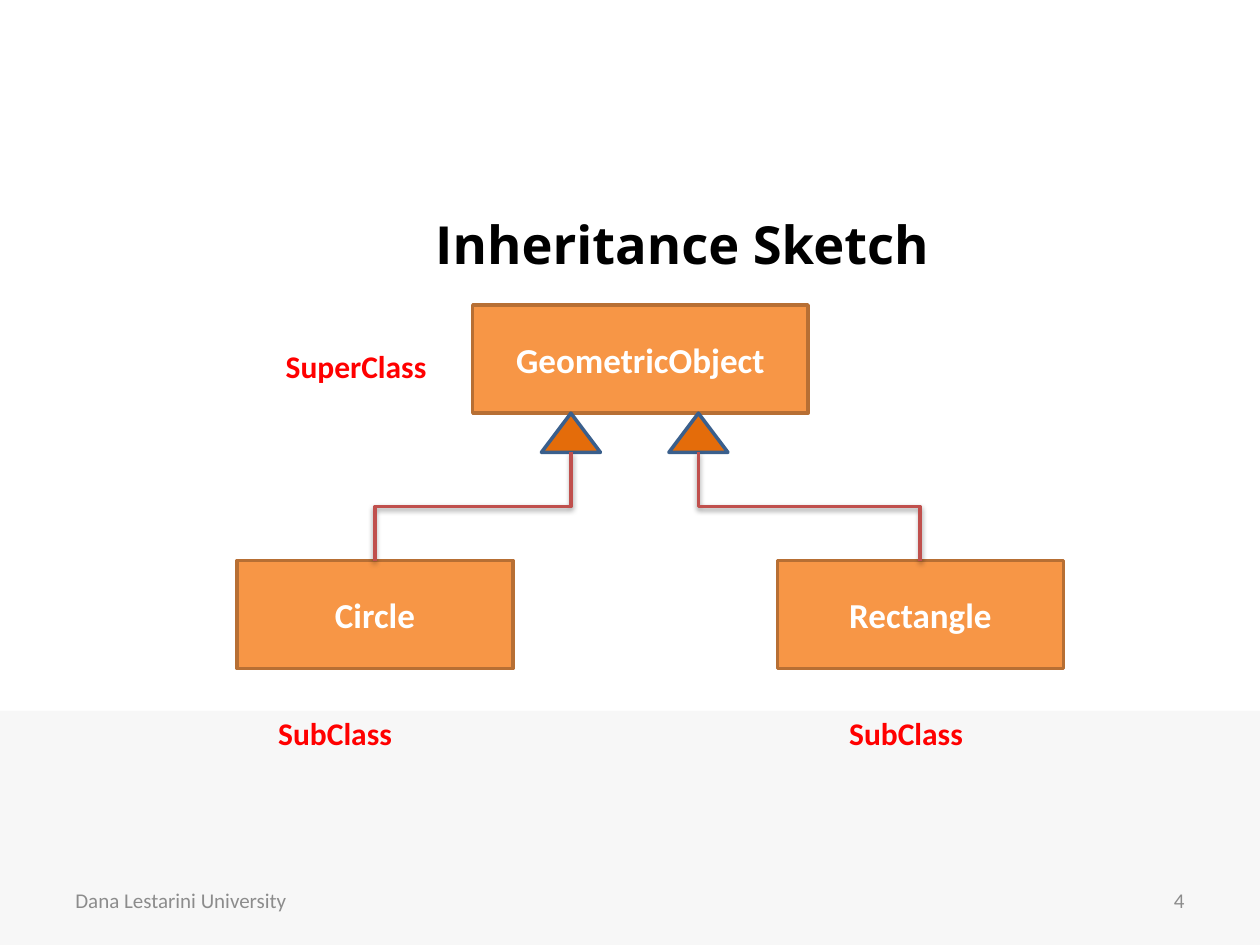
from lxml import etree
from pptx import Presentation
from pptx.dml.color import RGBColor
from pptx.enum.shapes import MSO_CONNECTOR, MSO_SHAPE
from pptx.enum.text import MSO_ANCHOR, PP_ALIGN
from pptx.oxml import parse_xml
from pptx.util import Cm, Pt

RECTANGLE = MSO_SHAPE.RECTANGLE
TRIANGLE = MSO_SHAPE.ISOSCELES_TRIANGLE
ELBOW = MSO_CONNECTOR.ELBOW
MIDDLE = MSO_ANCHOR.MIDDLE
LEFT, CENTER, RIGHT = PP_ALIGN.LEFT, PP_ALIGN.CENTER, PP_ALIGN.RIGHT

COLORS = {
    "band": "F7F7F7", "title": "000000", "footer": "8C8C8C",
    "class": "F79646", "class_edge": "B76F34", "class_text": "FFFFFF",
    "label": "FF0000", "arrow": "E46C0A", "arrow_edge": "3A5F8C",
    "link": "C0504D",
}
SHADOW = (
    '<a:effectLst xmlns:a="http://schemas.openxmlformats.org/drawingml/2006/main">'
    '<a:outerShdw blurRad="40000" dist="20000" dir="5400000" rotWithShape="0">'
    '<a:srgbClr val="000000"><a:alpha val="38000"/></a:srgbClr>'
    '</a:outerShdw></a:effectLst>'
)


def write(box, text, size, color, align=LEFT, bold=True, font="Calibri"):
    frame = box.text_frame
    frame.word_wrap = True
    frame.text = text
    para = frame.paragraphs[0]
    para.alignment = align
    para.font.name = font
    para.font.size = Pt(size)
    para.font.bold = bold
    para.font.color.rgb = RGBColor.from_string(COLORS[color])


def add_block(kind, left, top, width, height, fill, edge=None):
    """Add a filled shape without shadow, outlined only if edge is given."""
    block = page.shapes.add_shape(kind, Cm(left), Cm(top), Cm(width), Cm(height))
    block.shadow.inherit = False
    block.fill.solid()
    block.fill.fore_color.rgb = RGBColor.from_string(COLORS[fill])
    if edge:
        block.line.color.rgb = RGBColor.from_string(COLORS[edge])
        block.line.width = Pt(2)
    else:
        block.line.fill.background()
    return block


deck = Presentation()
deck.slide_width, deck.slide_height = Cm(25.4), Cm(19.05)
page = deck.slides.add_slide(deck.slide_layouts[5])

# Background band, behind the title
band = add_block(RECTANGLE, 0, 14.33, 25.4, 4.72, "band")
page.shapes._spTree.insert(2, band._element)

title = page.shapes.title
title.left, title.top, title.width, title.height = Cm(2.74), Cm(3.81), Cm(22.02), Cm(2.21)
title.text_frame.vertical_anchor = MIDDLE
write(title, "Inheritance Sketch", 30, "title", CENTER, font="Open Sans")

# Footer
for text, left, align in [("Dana Lestarini University", 1.27, LEFT), ("4", 18.21, RIGHT)]:
    footer = page.shapes.add_textbox(Cm(left), Cm(17.65), Cm(5.92), Cm(1.01))
    footer.text_frame.vertical_anchor = MIDDLE
    write(footer, text, 12, "footer", align, bold=False)

# Classes
CLASS_HEIGHT = 2.18
SUPER_TOP, SUB_TOP = 6.15, 11.3
for name, left, top, width in [
    ("GeometricObject", 9.53, SUPER_TOP, 6.76),
    ("Circle", 4.78, SUB_TOP, 5.56),
    ("Rectangle", 15.67, SUB_TOP, 5.77),
]:
    box = add_block(RECTANGLE, left, top, width, CLASS_HEIGHT, "class", "class_edge")
    box.text_frame.vertical_anchor = MIDDLE
    write(box, name, 20, "class_text", CENTER)

# Red role labels
for text, left, top in [
    ("SuperClass", 5.51, 6.88),
    ("SubClass", 5.36, 14.27),
    ("SubClass", 16.87, 14.27),
]:
    label = page.shapes.add_textbox(Cm(left), Cm(top), Cm(4), Cm(1.02))
    write(label, text, 18, "label")

# Inheritance arrows: a triangle under the superclass, a bent link to the subclass
ARROW_WIDTH, ARROW_HEIGHT = 1.19, 0.79
arrow_top = SUPER_TOP + CLASS_HEIGHT
link_top = arrow_top + ARROW_HEIGHT
for arrow_x, class_x in [(11.51, 7.56), (14.08, 18.55)]:
    add_block(TRIANGLE, arrow_x - ARROW_WIDTH / 2, arrow_top,
              ARROW_WIDTH, ARROW_HEIGHT, "arrow", "arrow_edge")

    # Laid out sideways around its centre, then turned so that it leaves downwards
    middle_x, middle_y = (arrow_x + class_x) / 2, (link_top + SUB_TOP) / 2
    half_span = abs(class_x - arrow_x) / 2
    goes_left = class_x < arrow_x
    half_drop = (SUB_TOP - link_top) / 2 * (1 if goes_left else -1)
    link = page.shapes.add_connector(
        ELBOW, Cm(middle_x - half_drop), Cm(middle_y - half_span),
        Cm(middle_x + half_drop), Cm(middle_y + half_span))
    link._element.spPr.find(".//{*}xfrm").set("rot", "5400000" if goes_left else "16200000")
    link.line.color.rgb = RGBColor.from_string(COLORS["link"])
    link.line.width = Pt(2)
    link._element.spPr.append(parse_xml(SHADOW))

deck.save("out.pptx")
